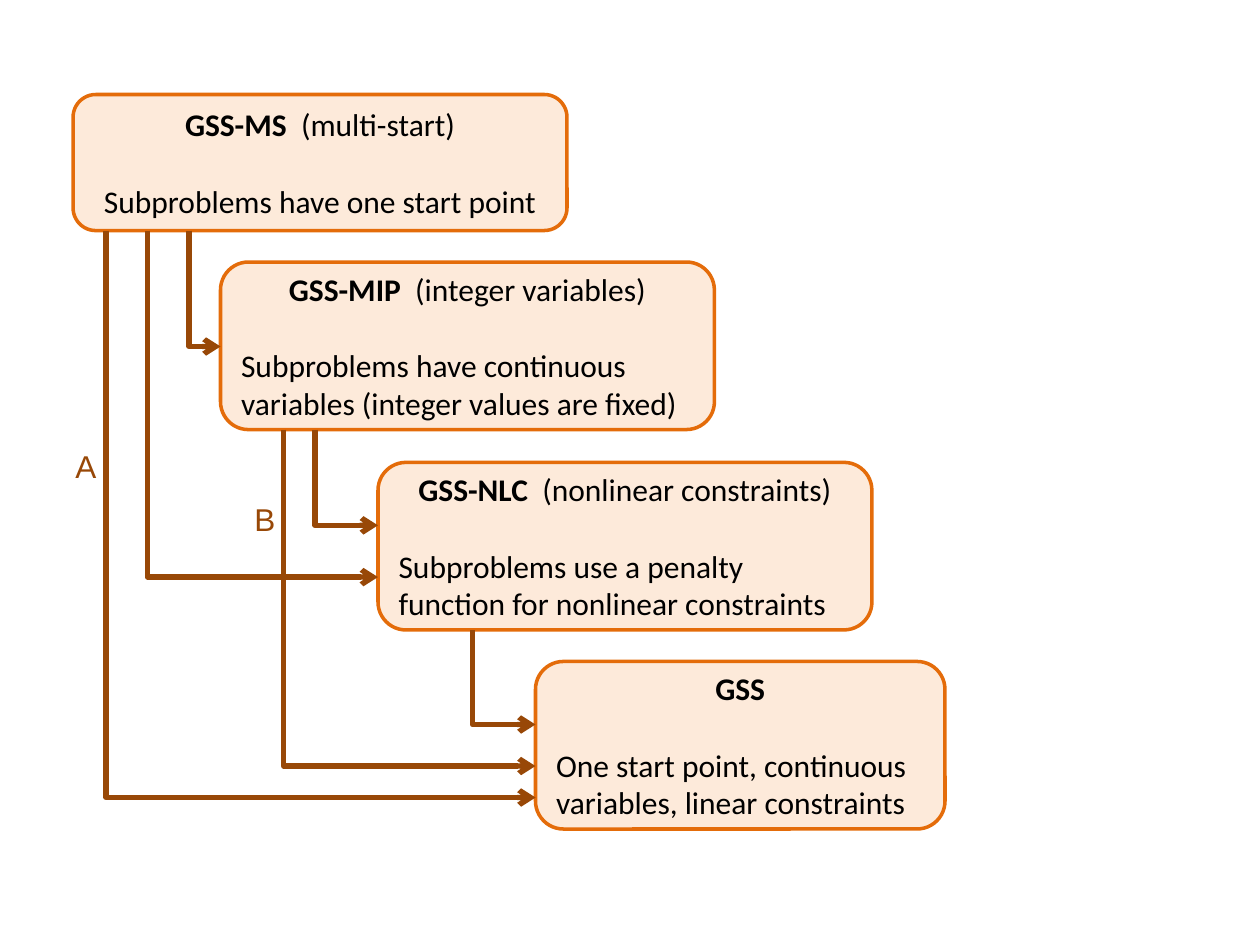
"""Builds the slide that shows how the GSS solvers call one another."""
from lxml import etree
from pptx import Presentation
from pptx import util as u
from pptx.dml.color import RGBColor
from pptx.enum import shapes, text
from pptx.oxml.ns import qn


def colour(value):
    """Turn a hex string into a colour."""
    return RGBColor.from_string(value)


def apply(target, formats):
    """Set each attribute of the target from a dict."""
    for name, value in formats.items():
        setattr(target, name, value)


class Diagram:
    """Holds the style and the current slide."""

    FILL, EDGE, ARROW, INK = "FDEADA", "E46C0A", "984807", "000000"
    FRAME = {"word_wrap": True, "margin_left": u.Inches(0.1), "margin_right": u.Inches(0.1),
             "margin_top": u.Inches(0.05), "margin_bottom": u.Inches(0.05)}

    def __init__(self, page):
        """Keep the page to draw on."""
        self.page = page

    def add_span(self, para, words, font, hue, bold=False):
        """Add one formatted span to a paragraph."""
        span = para.add_run()
        span.text = words
        apply(span.font, {"name": font, "size": u.Pt(18), "bold": bold})
        span.font.color.rgb = colour(hue)

    def solver(self, place, name, note, task, align):
        """Draw a rounded box with a heading and a description."""
        box = self.page.shapes.add_shape(
            shapes.MSO_SHAPE.ROUNDED_RECTANGLE, *map(u.Inches, place))
        box.shadow.inherit = False
        box.fill.solid()
        box.fill.fore_color.rgb = colour(self.FILL)
        box.line.color.rgb = colour(self.EDGE)
        box.line.width = u.Pt(2)
        frame = box.text_frame
        apply(frame, {**self.FRAME, "vertical_anchor": text.MSO_ANCHOR.MIDDLE})
        heading, body = frame.paragraphs[0], frame.add_paragraph()
        heading.alignment = text.PP_ALIGN.CENTER
        self.add_span(heading, name, "Calibri", self.INK, True)
        if note:
            self.add_span(heading, f"  ({note})", "Calibri", self.INK)
        apply(body, {"alignment": align, "space_before": u.Pt(22)})
        self.add_span(body, task, "Calibri", self.INK)

    def call(self, x, y, end_x, end_y):
        """Draw an arrow that runs down and then right."""
        run, drop = end_x - x, end_y - y
        left, top = (x + end_x - drop) / 2, (y + end_y - run) / 2
        arrow = self.page.shapes.add_connector(
            shapes.MSO_CONNECTOR.ELBOW,
            *map(u.Inches, (left + drop, top, left, top + run)))
        arrow.line.color.rgb = colour(self.ARROW)
        arrow.line.width = u.Pt(3)
        props = arrow._element.spPr
        props.find(qn("a:xfrm")).set("rot", "16200000")
        props.find(qn("a:prstGeom")).set("prst", "bentConnector2")
        etree.SubElement(props.find(qn("a:ln")), qn("a:tailEnd"), type="arrow")
        etree.SubElement(props, qn("a:effectLst"))

    def label(self, left, top, words):
        """Place a letter beside an arrow."""
        box = self.page.shapes.add_textbox(*map(u.Inches, (left, top, 0.42, 0.4)))
        apply(box.text_frame, self.FRAME)
        self.add_span(box.text_frame.paragraphs[0], words, "Arial", self.ARROW)


deck = Presentation()
apply(deck, {"slide_width": u.Inches(10), "slide_height": u.Inches(7.5)})
diagram = Diagram(deck.slides.add_slide(deck.slide_layouts[6]))

CENTER, LEFT = text.PP_ALIGN.CENTER, text.PP_ALIGN.LEFT
SOLVERS = [
    ((0.58, 0.75, 3.92, 1.08), "GSS-MS", "multi-start",
     "Subproblems have one start point", CENTER),
    ((1.75, 2.08, 3.92, 1.33), "GSS-MIP", "integer variables",
     "Subproblems have continuous variables (integer values are fixed)", LEFT),
    ((3, 3.67, 3.92, 1.33), "GSS-NLC", "nonlinear constraints",
     "Subproblems use a penalty function for nonlinear constraints", LEFT),
    ((4.25, 5.25, 3.25, 1.33), "GSS", "",
     "One start point, continuous variables, linear constraints", LEFT),
]
for solver in SOLVERS:
    diagram.solver(*solver)

multi_start, integer, nonlinear, basic = (solver[0] for solver in SOLVERS)
CALLS = [
    (multi_start, 0.84, basic, 6.33),
    (multi_start, 1.5, integer, 2.75),
    (nonlinear, 3.75, basic, 5.75),
    (multi_start, 1.17, nonlinear, 4.58),
    (integer, 2.5, nonlinear, 4.17),
    (integer, 2.25, basic, 6.08),
]
for caller, x, callee, end_y in CALLS:
    diagram.call(x, caller[1] + caller[3], callee[0], end_y)

diagram.label(0.5, 3.5, "A")
diagram.label(1.92, 3.92, "B")
deck.save("out.pptx")
